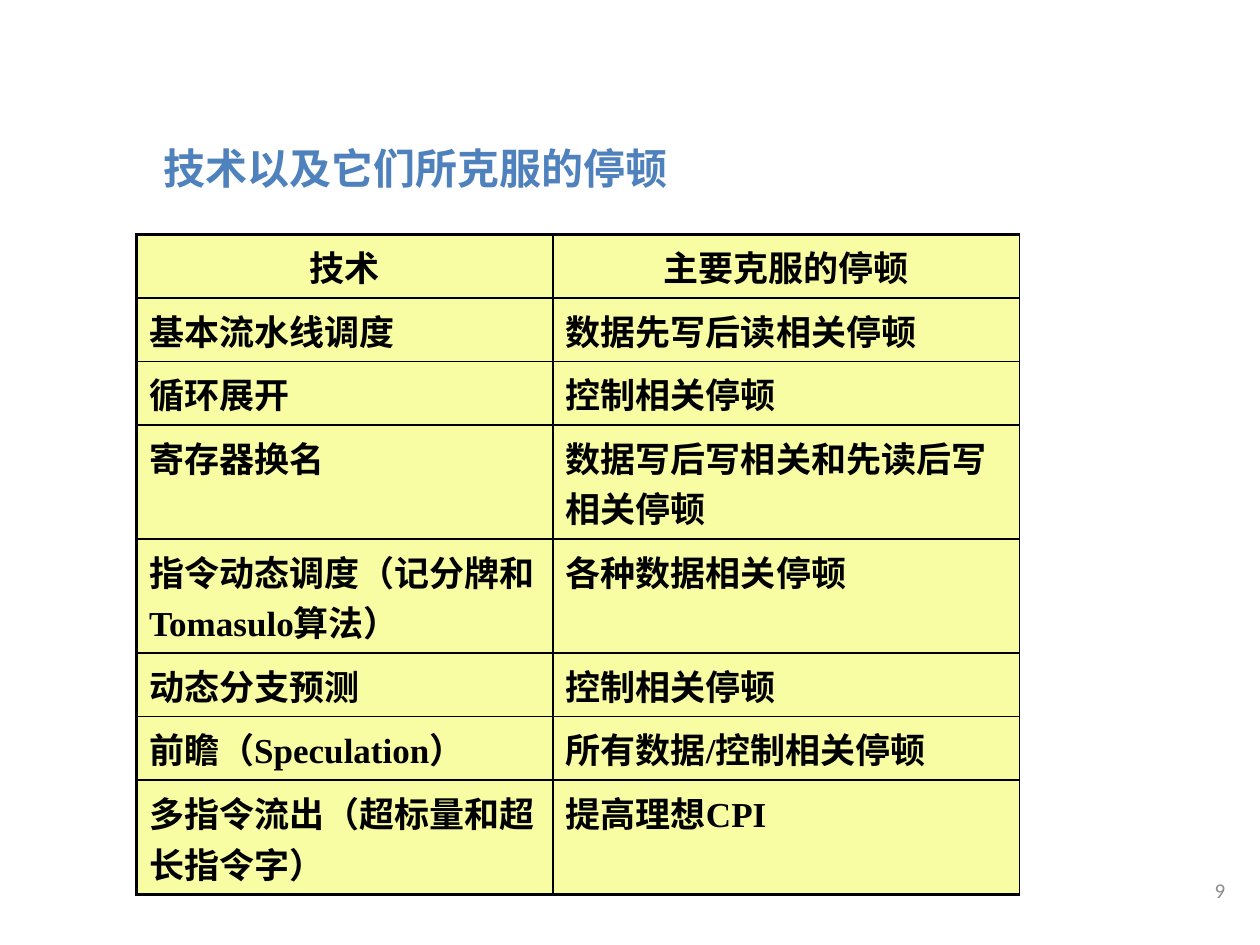
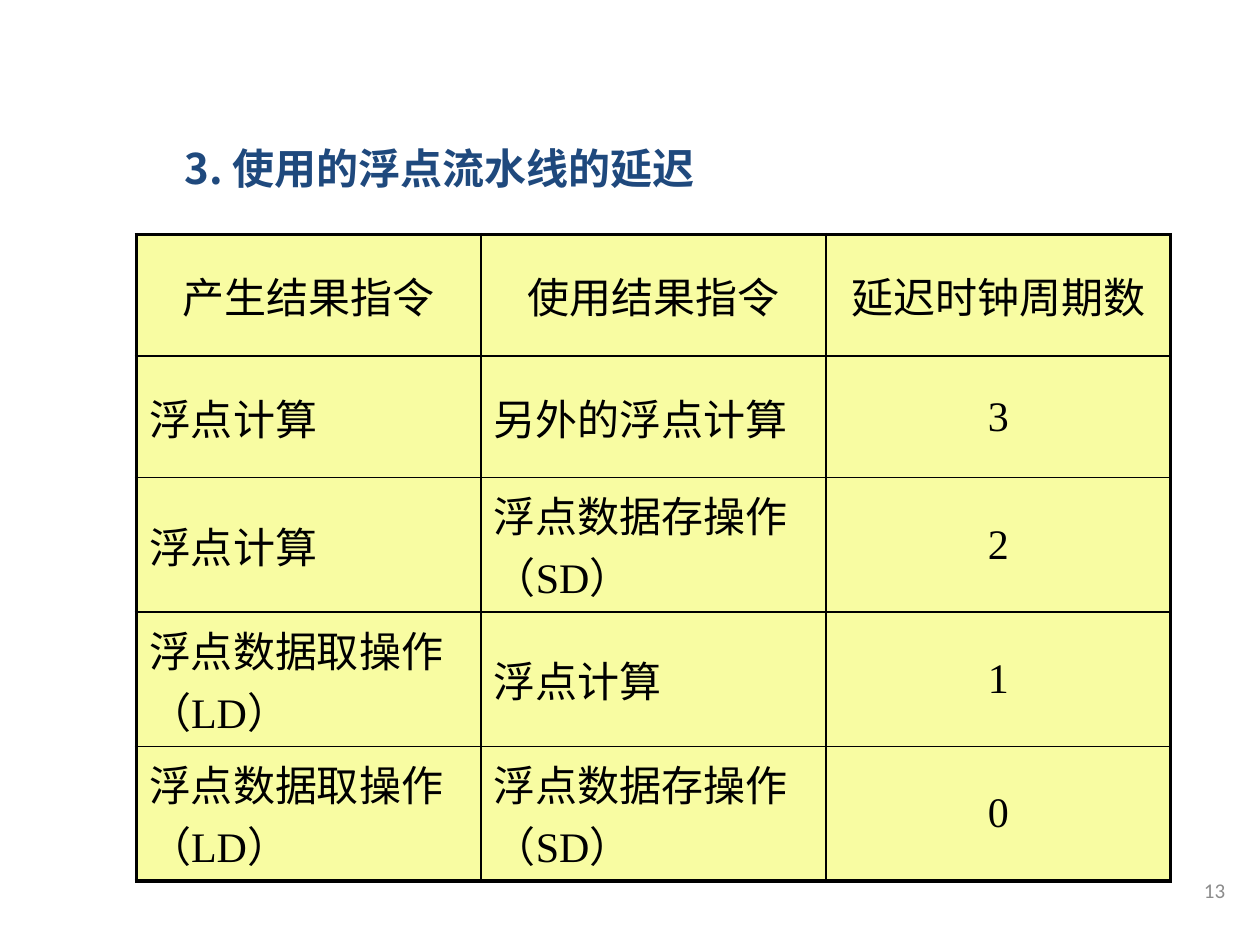
from dataclasses import dataclass

from lxml import etree
from pptx import Presentation
from pptx import util as u
from pptx.dml.color import RGBColor
from pptx.enum import text
from pptx.oxml import ns

COLORS = {
    "blue": "4F81BD",
    "navy": "1F497D",
    "cell": "F8FCA2",
    "ink": "000000",
    "number": "8C8C8C",
}
CJK_FONT = "Noto Sans CJK SC"
TABLE_FONT = "Times New Roman"
NUMBER_FONT = "Calibri"
TABLE_LEFT, TABLE_TOP = u.Cm(2.75), u.Cm(4.73)
THIN, THICK = u.Pt(1), u.Pt(2.25)
LEFT, CENTER, RIGHT = text.PP_ALIGN.LEFT, text.PP_ALIGN.CENTER, text.PP_ALIGN.RIGHT
TOP, MIDDLE = text.MSO_ANCHOR.TOP, text.MSO_ANCHOR.MIDDLE


@dataclass(frozen=True)
class Style:
    size: float
    color: str
    font: str
    bold: bool = False
    align: text.PP_ALIGN = LEFT
    anchor: text.MSO_ANCHOR = TOP


@dataclass(frozen=True)
class Box:
    left: float
    top: float
    width: float
    height: float


@dataclass(frozen=True)
class TableSlide:
    title: str
    title_box: Box
    title_color: str
    number: int
    columns: list[float]
    row_heights: list[float]
    rows: list[list[str]]
    size: float
    bold: bool
    anchor: text.MSO_ANCHOR
    right_border: int
    centered_columns: tuple[int, ...] = ()


NUMBER_BOX = Box(19.67, 17.31, 5.28, 1.27)
NUMBER_STYLE = Style(12, "number", NUMBER_FONT, align=RIGHT, anchor=MIDDLE)


def format_paragraph(paragraph, style: Style) -> None:
    paragraph.alignment = style.align
    for run in paragraph.runs:
        run.font.size = u.Pt(style.size)
        run.font.bold = style.bold
        run.font.name = style.font
        run.font.color.rgb = RGBColor.from_string(COLORS[style.color])
        east_asian = etree.SubElement(run.font._element, ns.qn("a:ea"))
        east_asian.set("typeface", CJK_FONT)


def add_text(slide, content: str, box: Box, style: Style) -> None:
    shape = slide.shapes.add_textbox(
        u.Cm(box.left), u.Cm(box.top), u.Cm(box.width), u.Cm(box.height)
    )
    frame = shape.text_frame
    frame.word_wrap = True
    frame.vertical_anchor = style.anchor
    frame.text = content
    format_paragraph(frame.paragraphs[0], style)


def set_borders(cell, widths: dict[str, int]) -> None:
    properties = cell._tc.get_or_add_tcPr()
    for index, (side, width) in enumerate(widths.items()):
        line = etree.Element(ns.qn(f"a:ln{side}"), w=str(int(width)))
        fill = etree.SubElement(line, ns.qn("a:solidFill"))
        etree.SubElement(fill, ns.qn("a:srgbClr"), val=COLORS["ink"])
        properties.insert(index, line)


def add_table(slide, content: TableSlide) -> None:
    row_count, column_count = len(content.rows), len(content.columns)
    table = slide.shapes.add_table(
        row_count, column_count, TABLE_LEFT, TABLE_TOP,
        u.Cm(sum(content.columns)), u.Cm(sum(content.row_heights)),
    ).table
    for column, width in zip(table.columns, content.columns):
        column.width = u.Cm(width)
    for row, height in zip(table.rows, content.row_heights):
        row.height = u.Cm(height)
    for r, values in enumerate(content.rows):
        for c, value in enumerate(values):
            cell = table.cell(r, c)
            cell.fill.solid()
            cell.fill.fore_color.rgb = RGBColor.from_string(COLORS["cell"])
            cell.vertical_anchor = content.anchor
            cell.text_frame.text = value
            centered = r == 0 or c in content.centered_columns
            format_paragraph(
                cell.text_frame.paragraphs[0],
                Style(content.size, "ink", TABLE_FONT, content.bold,
                      CENTER if centered else LEFT),
            )
            set_borders(cell, {
                "L": THICK if c == 0 else THIN,
                "R": content.right_border if c == column_count - 1 else THIN,
                "T": THICK if r == 0 else THIN,
                "B": THICK if r == row_count - 1 else THIN,
            })


def add_table_slide(presentation, content: TableSlide) -> None:
    slide = presentation.slides.add_slide(presentation.slide_layouts[6])
    add_text(slide, content.title, content.title_box,
             Style(24, content.title_color, CJK_FONT, bold=True))
    add_table(slide, content)
    add_text(slide, str(content.number), NUMBER_BOX, NUMBER_STYLE)


SLIDES = [
    TableSlide(
        title="技术以及它们所克服的停顿",
        title_box=Box(3.05, 2.74, 18.08, 1.47),
        title_color="blue",
        number=9,
        columns=[8.4, 9.4],
        row_heights=[1.28, 1.28, 1.28, 2.3, 2.3, 1.28, 1.28, 2.3],
        rows=[
            ["技术", "主要克服的停顿"],
            ["基本流水线调度", "数据先写后读相关停顿"],
            ["循环展开", "控制相关停顿"],
            ["寄存器换名", "数据写后写相关和先读后写相关停顿"],
            ["指令动态调度（记分牌和Tomasulo算法）", "各种数据相关停顿"],
            ["动态分支预测", "控制相关停顿"],
            ["前瞻（Speculation）", "所有数据/控制相关停顿"],
            ["多指令流出（超标量和超长指令字）", "提高理想CPI"],
        ],
        size=20,
        bold=True,
        anchor=TOP,
        right_border=THIN,
    ),
    TableSlide(
        title="3. 使用的浮点流水线的延迟",
        title_box=Box(3.47, 2.74, 14.27, 1.9),
        title_color="navy",
        number=13,
        columns=[6.95] * 3,
        row_heights=[2.45] * 2 + [2.71] * 3,
        rows=[
            ["产生结果指令", "使用结果指令", "延迟时钟周期数"],
            ["浮点计算", "另外的浮点计算", "3"],
            ["浮点计算", "浮点数据存操作（SD）", "2"],
            ["浮点数据取操作（LD）", "浮点计算", "1"],
            ["浮点数据取操作（LD）", "浮点数据存操作（SD）", "0"],
        ],
        size=24,
        bold=False,
        anchor=MIDDLE,
        right_border=THICK,
        centered_columns=(2,),
    ),
]


def main() -> None:
    presentation = Presentation()
    presentation.slide_width = u.Cm(25.4)
    presentation.slide_height = u.Cm(19.05)
    for content in SLIDES:
        add_table_slide(presentation, content)
    presentation.save("out.pptx")


main()
